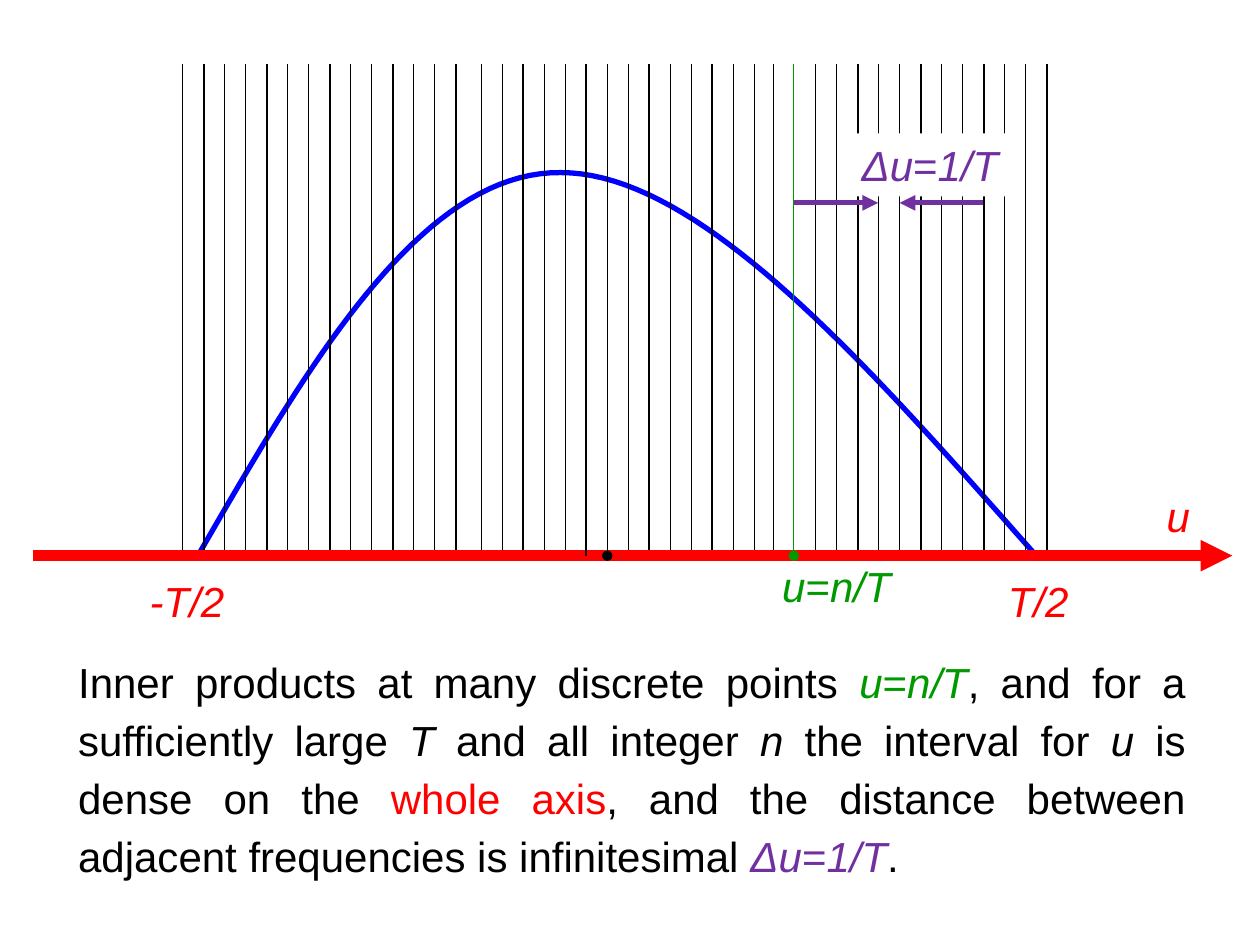
import dataclasses

import pptx
import pptx.dml.color
import pptx.enum.shapes
import pptx.enum.text
import pptx.oxml
import pptx.oxml.ns
import pptx.util

Inches = pptx.util.Inches
Pt = pptx.util.Pt


@dataclasses.dataclass(frozen=True)
class Theme:
    font: str = "Arial"
    size: int = 24
    black: str = "000000"
    white: str = "FFFFFF"
    red: str = "FF0000"
    blue: str = "0000FF"
    green: str = "009900"
    purple: str = "7030A0"
    thin: float = 0.75
    medium: float = 3
    thick: float = 6


THEME = Theme()

# Frequency grid: three blocks of equally spaced lines
TOP, AXIS_Y = 0.51, 4.41
STEP = 1 / 6
BLOCK_STARTS = (1.45, 3.82, 6.14)
LINES_PER_BLOCK = 14
SAMPLE_X = 6.30
ORIGIN_X = 4.82
BEFORE_ORIGIN_X = 4.65

# Cubic segments of the spectrum curve
CURVE = (
    ((1.56, 4.43), (2.43, 2.92), (3.33, 1.36), (4.45, 1.37)),
    ((4.45, 1.37), (5.56, 1.37), (6.90, 2.91), (8.25, 4.44)),
)


def rgb(color):
    return pptx.dml.color.RGBColor.from_string(color)


def add_line(s, start, end, color, width, tail=None):
    line = s.shapes.add_connector(
        pptx.enum.shapes.MSO_CONNECTOR.STRAIGHT,
        *(Inches(v) for v in (*start, *end)))
    line.line.color.rgb = rgb(color)
    line.line.width = Pt(width)
    if tail:
        end_mark = pptx.oxml.parse_xml(
            f'<a:tailEnd {pptx.oxml.ns.nsdecls("a")} type="{tail}"/>')
        line.line._get_or_add_ln().append(end_mark)
    line._element.spPr.append(
        pptx.oxml.parse_xml(f'<a:effectLst {pptx.oxml.ns.nsdecls("a")}/>'))


def add_vertical(s, x, color=THEME.black, tail=None):
    add_line(s, (x, TOP), (x, AXIS_Y), color, THEME.thin, tail)


def bezier_point(segment, t):
    weights = ((1 - t) ** 3, 3 * t * (1 - t) ** 2, 3 * t ** 2 * (1 - t), t ** 3)
    return tuple(sum(w * p[axis] for w, p in zip(weights, segment))
                 for axis in (0, 1))


def add_curve(s, segments, color, width, samples=40):
    points = [bezier_point(segment, i / samples)
              for segment in segments for i in range(1, samples + 1)]
    x, y = segments[0][0]
    builder = s.shapes.build_freeform(Inches(x), Inches(y))
    builder.add_line_segments(
        [(Inches(px), Inches(py)) for px, py in points], close=False)
    curve = builder.convert_to_shape()
    curve.shadow.inherit = False
    curve.fill.background()
    curve.line.color.rgb = rgb(color)
    curve.line.width = Pt(width)


def add_runs(p, runs):
    for text, color, italic in runs:
        r = p.add_run()
        r.text = text
        r.font.name = THEME.font
        r.font.size = Pt(THEME.size)
        r.font.italic = italic
        r.font.color.rgb = rgb(color)


def formula(left, right, color):
    return [(left, color, True), ("=", color, False), (right, color, True)]


def add_label(s, x, y, width, runs, fill=None):
    sp = s.shapes.add_textbox(Inches(x), Inches(y), Inches(width), Inches(0.5))
    if fill:
        sp.fill.solid()
        sp.fill.fore_color.rgb = rgb(fill)
    tf = sp.text_frame
    tf.word_wrap = False
    tf.auto_size = pptx.enum.text.MSO_AUTO_SIZE.SHAPE_TO_FIT_TEXT
    add_runs(tf.paragraphs[0], runs)


def fill_body(sp, runs):
    sp.left, sp.top = Inches(0.52), Inches(5.1)
    sp.width, sp.height = Inches(8.99), Inches(1.96)
    tf = sp.text_frame
    tf.word_wrap = True
    tf.auto_size = pptx.enum.text.MSO_AUTO_SIZE.SHAPE_TO_FIT_TEXT
    p = tf.paragraphs[0]
    p.alignment = pptx.enum.text.PP_ALIGN.JUSTIFY
    p.line_spacing = 1.15
    p.space_before = Pt(0)
    pPr = p._p.get_or_add_pPr()
    pPr.set("marL", "0")
    pPr.set("indent", "0")
    pPr.append(pptx.oxml.parse_xml(f'<a:buNone {pptx.oxml.ns.nsdecls("a")}/>'))
    add_runs(p, runs)


def main():
    t = THEME
    prs = pptx.Presentation()
    prs.slide_width, prs.slide_height = Inches(10), Inches(7.5)
    s = prs.slides.add_slide(prs.slide_layouts[1])
    title = s.shapes.title._element
    title.getparent().remove(title)

    # Explanation
    fill_body(s.placeholders[1], [
        ("Inner products at many discrete points ", t.black, False),
        *formula("u", "n/T", t.green),
        (", and for a sufficiently large ", t.black, False),
        ("T ", t.black, True),
        ("and all integer ", t.black, False),
        ("n", t.black, True),
        (" the interval for ", t.black, False),
        ("u", t.black, True),
        (" is dense on the ", t.black, False),
        ("whole axis", t.red, False),
        (", and the distance between adjacent frequencies is infinitesimal ",
         t.black, False),
        *formula("Δu", "1/T", t.purple),
        (". ", t.black, False),
    ])

    # Curve and frequency lines
    add_curve(s, CURVE, t.blue, t.medium)
    special = (BEFORE_ORIGIN_X, ORIGIN_X, SAMPLE_X)
    for start in BLOCK_STARTS:
        for i in range(LINES_PER_BLOCK):
            x = round(start + i * STEP, 2)
            if all(abs(x - other) > 0.02 for other in special):
                add_vertical(s, x)

    # Axis with the marked frequencies on top of it
    add_line(s, (0.26, AXIS_Y), (9.78, AXIS_Y), t.red, t.thick, "triangle")
    add_vertical(s, SAMPLE_X, t.green, "oval")
    add_vertical(s, BEFORE_ORIGIN_X)
    add_vertical(s, ORIGIN_X, tail="oval")

    # Axis labels
    add_label(s, 1.09, 4.52, 0.8, [("-T/2", t.red, True)])
    add_label(s, 7.9, 4.52, 0.69, [("T/2", t.red, True)])
    add_label(s, 9.16, 3.84, 0.39, [("u", t.red, True)])
    add_label(s, 6.11, 4.4, 1.07, formula("u", "n/T", t.green))

    # Spacing between adjacent frequencies
    add_label(s, 6.74, 1.06, 1.3, formula("Δu", "1/T", t.purple), t.white)
    for start, end in ((SAMPLE_X, 6.97), (7.8, 7.14)):
        add_line(s, (start, 1.61), (end, 1.61), t.purple, t.medium, "triangle")

    prs.save("out.pptx")


if __name__ == "__main__":
    main()
